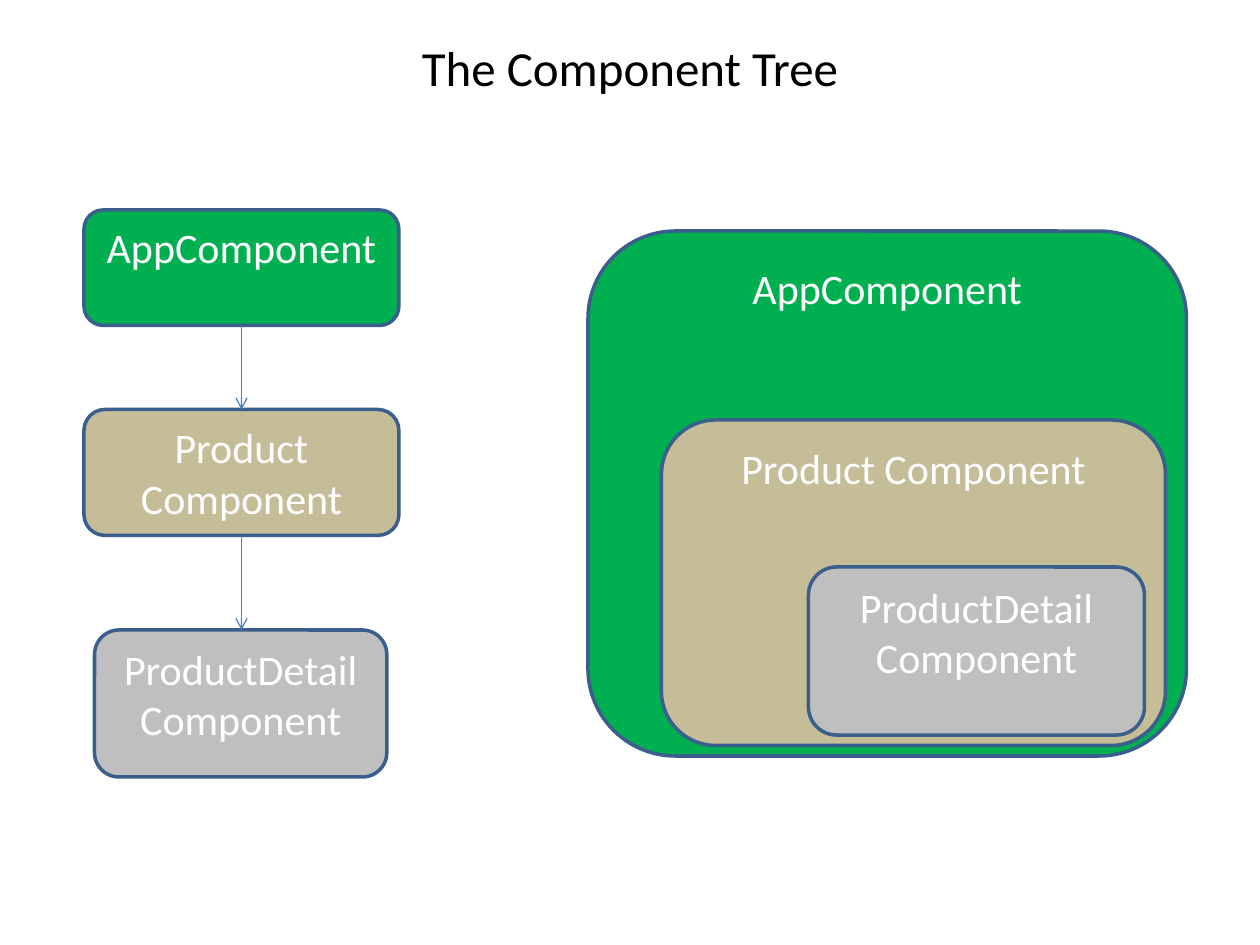
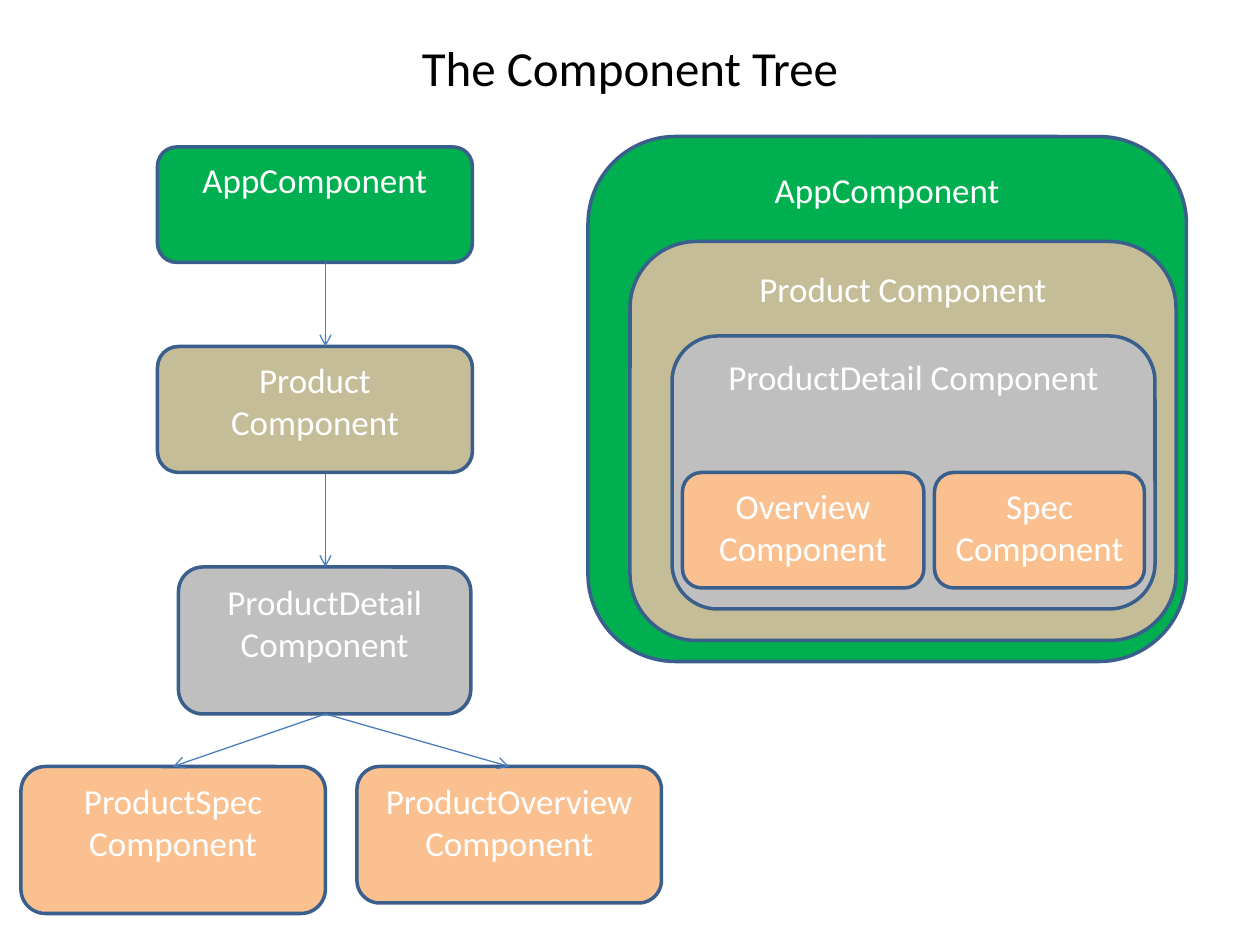
import pptx
import pptx.util
import pptx.dml.color
import pptx.enum.shapes
import pptx.enum.text
import pptx.oxml
import pptx.oxml.ns
import lxml.etree

UNIT = 2.54 / 12
FONT = "Calibri"
TITLE = "The Component Tree"
GREEN, TAN, GRAY, PEACH = "00B050", "C4BD97", "BFBFBF", "FAC090"
WHITE, BLACK, BORDER, ARROW = "FFFFFF", "000000", "3A5F8C", "4B7EBC"

APP = "AppComponent"
PRODUCT = "Product Component"
DETAIL = "ProductDetail Component"

slides = [
    {
        "size": 24,
        "boxes": [
            (APP, GREEN, 8, 20, 30, 11),
            (PRODUCT, TAN, 8, 39, 30, 12),
            (DETAIL, GRAY, 9, 60, 27.84, 14),
            (APP, GREEN, 56, 22, 57, 50),
            (PRODUCT, TAN, 63, 40, 48, 31),
            (DETAIL, GRAY, 77, 54, 32, 16),
        ],
        "arrows": [(23, 31, 23, 39), (23, 51, 23, 60)],
    },
    {
        "size": 20,
        "boxes": [
            (APP, GREEN, 15, 14, 30, 11),
            (PRODUCT, TAN, 15, 33, 30, 12),
            (DETAIL, GRAY, 17, 54, 27.84, 14),
            (APP, GREEN, 56, 13, 57, 50),
            (PRODUCT, TAN, 60, 23, 52, 38),
            (DETAIL, GRAY, 64, 32, 46, 26),
            ("ProductOverview Component", PEACH, 34, 73, 29, 13),
            ("ProductSpec Component", PEACH, 2, 73, 29, 14),
            ("Overview\nComponent", PEACH, 65, 45, 23, 11),
            ("Spec\nComponent", PEACH, 89, 45, 20, 11),
        ],
        "arrows": [
            (31, 25, 31, 33),
            (31, 45, 31, 54),
            (31, 68, 16.5, 73),
            (31, 68, 48.5, 73),
        ],
    },
]


def rgb(value):
    return pptx.dml.color.RGBColor.from_string(value)


def write(tf, text, size, color):
    tf.word_wrap = True
    tf.vertical_anchor = pptx.enum.text.MSO_ANCHOR.TOP
    for i, line in enumerate(text.split("\n")):
        p = tf.add_paragraph() if i else tf.paragraphs[0]
        p.alignment = pptx.enum.text.PP_ALIGN.CENTER
        r = p.add_run()
        r.text = line
        r.font.name = FONT
        r.font.size = pptx.util.Pt(size)
        r.font.color.rgb = rgb(color)


prs = pptx.Presentation()
prs.slide_width = pptx.util.Cm(25.4)
prs.slide_height = pptx.util.Cm(19.05)

for content in slides:
    s = prs.slides.add_slide(prs.slide_layouts[6])

    title = s.shapes.add_textbox(0, pptx.util.Cm(3 * UNIT), prs.slide_width, pptx.util.Cm(1.45))
    write(title.text_frame, TITLE, 28, BLACK)

    for text, fill, *place in content["boxes"]:
        sp = s.shapes.add_shape(
            pptx.enum.shapes.MSO_SHAPE.ROUNDED_RECTANGLE,
            *[pptx.util.Cm(n * UNIT) for n in place],
        )
        sp.shadow.inherit = False
        sp.fill.solid()
        sp.fill.fore_color.rgb = rgb(fill)
        sp.line.color.rgb = rgb(BORDER)
        sp.line.width = pptx.util.Pt(2)
        write(sp.text_frame, text, content["size"], WHITE)

    for ends in content["arrows"]:
        cx = s.shapes.add_connector(
            pptx.enum.shapes.MSO_CONNECTOR.STRAIGHT,
            *[pptx.util.Cm(n * UNIT) for n in ends],
        )
        cx.line.color.rgb = rgb(ARROW)
        cx.line.width = pptx.util.Pt(0.75)
        ln = cx.line._get_or_add_ln()
        lxml.etree.SubElement(ln, pptx.oxml.ns.qn("a:tailEnd"), type="arrow")
        lxml.etree.SubElement(cx._element.spPr, pptx.oxml.ns.qn("a:effectLst"))

prs.save("out.pptx")
